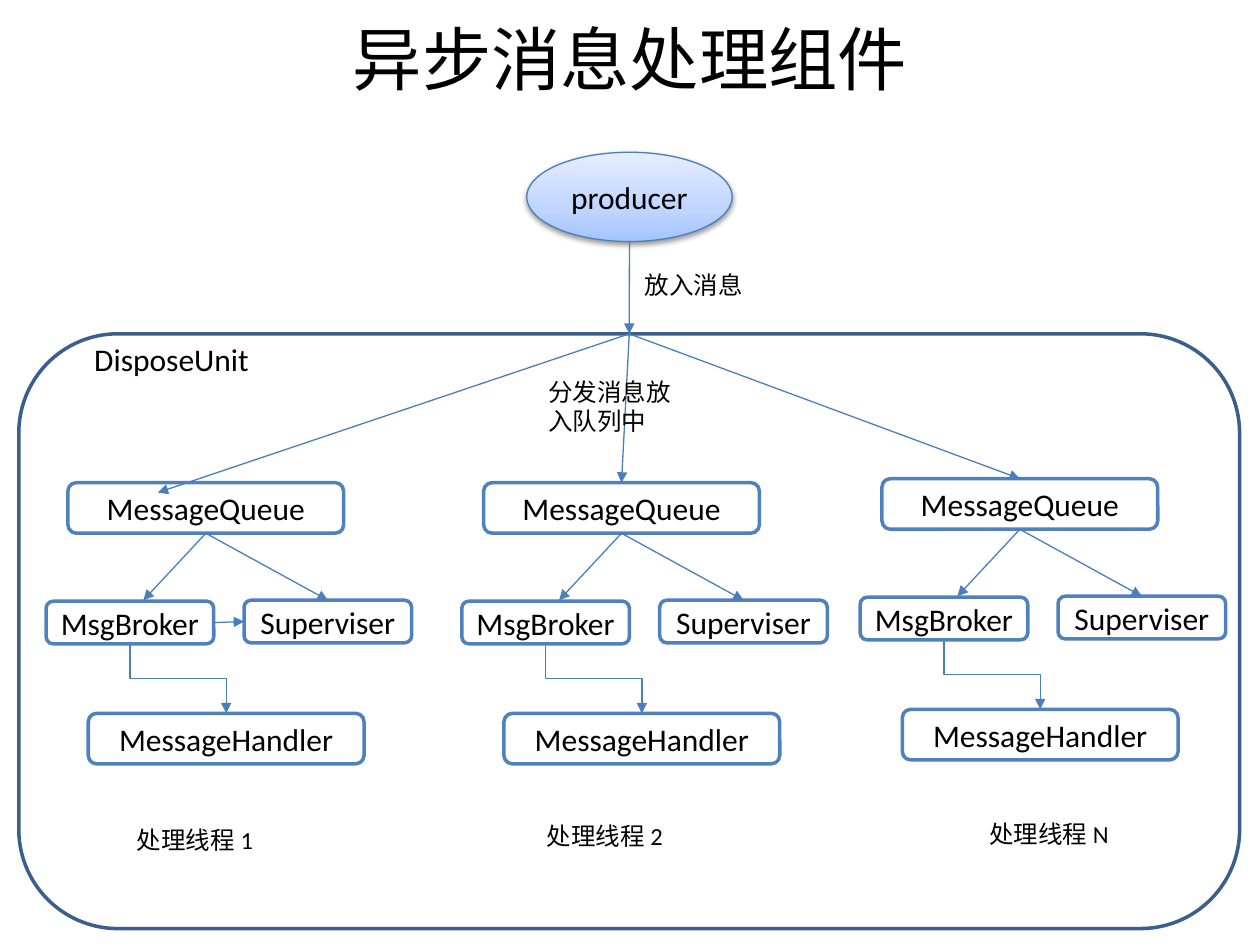
from copy import deepcopy
from dataclasses import dataclass
from typing import NamedTuple, Optional

from lxml.etree import SubElement
from pptx import Presentation
from pptx.dml.color import RGBColor
from pptx.enum.shapes import MSO_CONNECTOR as Link, MSO_SHAPE as Preset
from pptx.enum.text import MSO_ANCHOR as Anchor, PP_ALIGN as Align
from pptx.oxml.ns import qn
from pptx.util import Cm, Pt

FONT = "Calibri"
BLACK, WHITE = "000000", "FFFFFF"
BOX_EDGE, UNIT_EDGE, ARROW = "4F81BD", "3A5F8C", "4B7EBC"
TOP, LEFT, BOTTOM, RIGHT = range(4)


class Area(NamedTuple):
    """Left, top, width and height in centimetres."""
    left: float
    top: float
    width: float
    height: float

    def shifted(self, dx: float, dy: float) -> "Area":
        return Area(self.left + dx, self.top + dy, self.width, self.height)


class End(NamedTuple):
    """An arrow end, joined to a shape when one is given."""
    x: int
    y: int
    shape: Optional[object] = None
    site: int = 0


@dataclass
class Thread:
    left: float
    top: float
    caption: str
    caption_left: float
    caption_top: float


THREADS = [
    Thread(1.37, 9.73, "处理线程 1", 2.51, 16.51),
    Thread(9.75, 9.73, "处理线程 2", 10.77, 16.43),
    Thread(17.78, 9.65, "处理线程 N", 19.69, 16.38),
]

# Parts of one thread, relative to the corner of its queue
QUEUE = Area(0, 0, 5.56, 1.02)
BROKER = Area(-0.44, 2.39, 3.38, 0.86)
SUPERVISER = Area(3.55, 2.37, 3.38, 0.86)
HANDLER = Area(0.41, 4.65, 5.56, 1.02)
BROKER_ENTRY = (1.52, 2.37)


def colour(value: str) -> RGBColor:
    return RGBColor.from_string(value)


def cm_all(area: Area) -> list:
    return [Cm(length) for length in area]


def write(shape, text: str, size: float, align=Align.LEFT, anchor=Anchor.TOP) -> None:
    frame = shape.text_frame
    frame.word_wrap = True
    frame.vertical_anchor = anchor
    paragraph = frame.paragraphs[0]
    paragraph.text = text
    paragraph.alignment = align
    paragraph.font.size = Pt(size)
    paragraph.font.name = FONT
    paragraph.font.color.rgb = colour(BLACK)


def add_label(shapes, area: Area, text: str, size: float = 14, **placing) -> None:
    write(shapes.add_textbox(*cm_all(area)), text, size, **placing)


def add_box(shapes, area: Area, text: str = "", edge: str = BOX_EDGE,
            preset=Preset.ROUNDED_RECTANGLE, width: float = 2):
    box = shapes.add_shape(preset, *cm_all(area))
    box.shadow.inherit = False
    box.fill.solid()
    box.fill.fore_color.rgb = colour(WHITE)
    box.line.color.rgb = colour(edge)
    box.line.width = Pt(width)
    if text:
        write(box, text, 18, Align.CENTER, Anchor.MIDDLE)
    return box


def point(x: float, y: float) -> End:
    return End(Cm(x), Cm(y))


def side(shape, site: int) -> End:
    x = shape.left + {LEFT: 0, RIGHT: shape.width}.get(site, shape.width // 2)
    y = shape.top + {TOP: 0, BOTTOM: shape.height}.get(site, shape.height // 2)
    return End(x, y, shape, site)


def add_arrow(shapes, start: End, finish: End, kind=Link.STRAIGHT):
    arrow = shapes.add_connector(kind, start.x, start.y, finish.x, finish.y)
    if start.shape is not None:
        arrow.begin_connect(start.shape, start.site)
    if finish.shape is not None:
        arrow.end_connect(finish.shape, finish.site)
    arrow.line.color.rgb = colour(ARROW)
    arrow.line.width = Pt(0.75)
    SubElement(arrow.line._get_or_add_ln(), qn("a:tailEnd"), type="triangle")
    SubElement(arrow._element.spPr, qn("a:effectLst"))
    return arrow


def add_step_arrow(shapes, start: End, finish: End) -> None:
    """Elbow that leaves downwards, so its frame is turned by 270 degrees."""
    arrow = add_arrow(shapes, start, finish, Link.ELBOW)
    across, down = finish.x - start.x, finish.y - start.y
    arrow.left = (start.x + finish.x - down) // 2
    arrow.top = (start.y + finish.y - across) // 2
    arrow.width, arrow.height = down, across
    frame = arrow._element.spPr.find(qn("a:xfrm"))
    frame.set("rot", "16200000")
    frame.set("flipH", "1")


def add_producer(shapes):
    producer = add_box(shapes, Area(10.62, 3.07, 4.14, 1.8), "producer",
                       ARROW, Preset.OVAL, 0.75)
    producer.fill.gradient()
    producer.fill.gradient_angle = 90
    stop_list = producer._element.spPr.find(qn("a:gradFill")).find(qn("a:gsLst"))
    stop_list.append(deepcopy(stop_list[-1]))
    shades = [(0, "A4C4FF"), (0.35, "BFD4FF"), (1, "E6EEFF")]
    for stop, (position, shade) in zip(producer.fill.gradient_stops, shades):
        stop.position = position
        stop.color.rgb = colour(shade)
    effects = producer._element.spPr.find(qn("a:effectLst"))
    shadow = SubElement(effects, qn("a:outerShdw"), blurRad=str(Pt(3.1)),
                        dist=str(Pt(1.6)), dir="5400000", rotWithShape="0")
    tint = SubElement(shadow, qn("a:srgbClr"), val=BLACK)
    SubElement(tint, qn("a:alpha"), val="38000")
    return producer


def add_thread(shapes, thread: Thread):
    """Draw one processing thread; return its queue, broker and superviser."""
    members = shapes.add_group_shape().shapes
    queue, broker, superviser, handler = [
        add_box(members, area.shifted(thread.left, thread.top), name)
        for area, name in ((QUEUE, "MessageQueue"), (BROKER, "MsgBroker"),
                           (SUPERVISER, "Superviser"), (HANDLER, "MessageHandler"))
    ]
    entry = point(thread.left + BROKER_ENTRY[0], thread.top + BROKER_ENTRY[1])
    add_arrow(members, side(queue, BOTTOM), entry)
    add_arrow(members, side(queue, BOTTOM), side(superviser, TOP))
    add_step_arrow(shapes, side(broker, BOTTOM), side(handler, TOP))
    add_label(shapes, Area(thread.caption_left, thread.caption_top, 2.95, 0.86),
              thread.caption)
    return queue, broker, superviser


def main() -> None:
    deck = Presentation()
    deck.slide_width, deck.slide_height = Cm(25.4), Cm(19.05)
    shapes = deck.slides.add_slide(deck.slide_layouts[6]).shapes

    # Dispose unit, title and producer
    unit = add_box(shapes, Area(0.38, 6.73, 24.61, 11.99), edge=UNIT_EDGE)
    add_label(shapes, Area(1.27, 0.13, 22.86, 2.06), "异步消息处理组件", 39.6,
              align=Align.CENTER, anchor=Anchor.MIDDLE)
    producer = add_producer(shapes)
    add_label(shapes, Area(1.65, 6.73, 3.81, 1.02), "DisposeUnit", 18)
    add_label(shapes, Area(12.75, 5.31, 2.77, 0.86), "放入消息")

    # Processing threads
    threads = [add_thread(shapes, thread) for thread in THREADS]
    _, first_broker, first_superviser = threads[0]
    add_arrow(shapes, side(first_broker, RIGHT), side(first_superviser, LEFT))

    # Message flow from the producer to the queues
    entrance = side(unit, TOP)
    add_arrow(shapes, side(producer, BOTTOM)._replace(shape=None), entrance)
    add_arrow(shapes, entrance, point(3.18, 9.93))
    for queue, _, _ in threads[1:]:
        add_arrow(shapes, entrance, side(queue, TOP))
    add_label(shapes, Area(10.8, 7.47, 3.33, 1.45), "分发消息放入队列中")

    deck.save("out.pptx")


if __name__ == "__main__":
    main()
